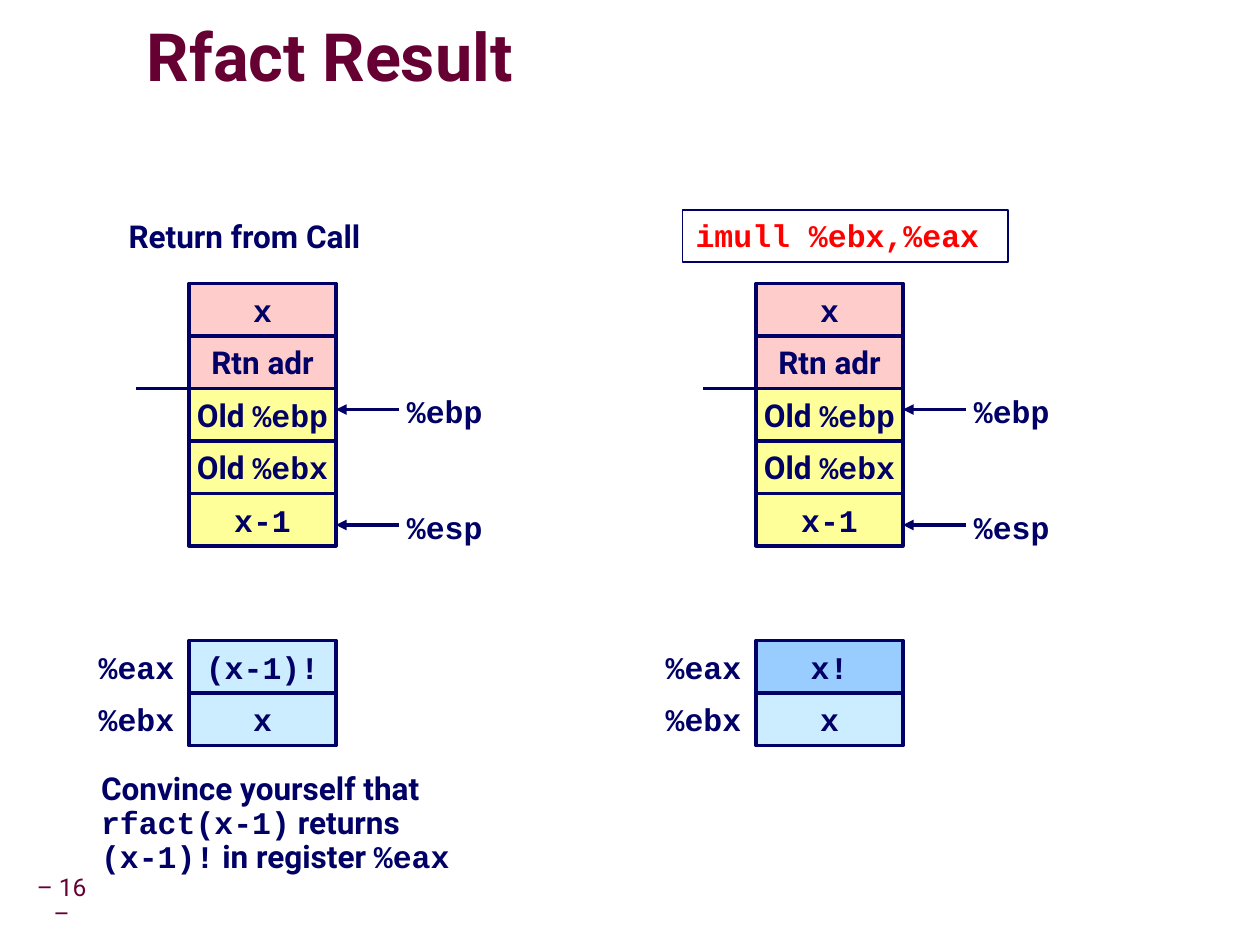
from lxml import etree
from pptx import Presentation
from pptx.dml.color import RGBColor
from pptx.enum.shapes import MSO_CONNECTOR, MSO_SHAPE
from pptx.enum.text import MSO_ANCHOR, MSO_AUTO_SIZE, PP_ALIGN
from pptx.oxml import parse_xml
from pptx.oxml.ns import qn
from pptx.util import Emu, Pt

PX = 9525
RECT = MSO_SHAPE.RECTANGLE
STRAIGHT = MSO_CONNECTOR.STRAIGHT
LEFT, CENTER = PP_ALIGN.LEFT, PP_ALIGN.CENTER
TOP, MIDDLE = MSO_ANCHOR.TOP, MSO_ANCHOR.MIDDLE
NO_FIT = MSO_AUTO_SIZE.NONE

SANS, MONO = "Roboto", "Courier New"
NAVY, MAROON, RED, WHITE = "000066", "660033", "FF0000", "FFFFFF"
PINK, YELLOW, PALE_BLUE, BLUE = "FFCCCC", "FFFF99", "CCECFF", "99CCFF"

CELL_W, CELL_H = 112, 40
STACK = [
    (PINK, [("x", MONO)]),
    (PINK, [("Rtn adr", SANS)]),
    (YELLOW, [("Old ", SANS), ("%ebp", MONO)]),
    (YELLOW, [("Old ", SANS), ("%ebx", MONO)]),
    (YELLOW, [("x-1", MONO)]),
]
POINTERS = [("%ebp", 96), ("%esp", 184)]
TITLE_SHADOW = (
    '<a:effectLst xmlns:a="http://schemas.openxmlformats.org/drawingml/2006/main">'
    '<a:outerShdw blurRad="38100" dist="38100" dir="2700000" algn="tl">'
    '<a:srgbClr val="000000"><a:alpha val="43000"/></a:srgbClr>'
    "</a:outerShdw></a:effectLst>"
)


def rgb(value):
    return RGBColor.from_string(value)


def px(*lengths):
    return [Emu(length * PX) for length in lengths]


def write(shape, runs, size=18, color=NAVY, bold=True, align=LEFT, anchor=TOP,
          wrap=False, inset=(10, 5), spacing=None):
    frame = shape.text_frame
    frame.auto_size = NO_FIT
    frame.word_wrap = wrap
    frame.vertical_anchor = anchor
    frame.margin_left = frame.margin_right = Emu(inset[0] * PX)
    frame.margin_top = frame.margin_bottom = Emu(inset[1] * PX)
    paragraph = frame.paragraphs[0]
    paragraph.alignment = align
    if spacing:
        paragraph.line_spacing = spacing
    for words, face in runs:
        run = paragraph.add_run()
        run.text = words
        font = run.font
        font.size, font.bold, font.name = Pt(size), bold, face
        font.color.rgb = rgb(color)


def add_text(slide, box, runs, **style):
    write(slide.shapes.add_textbox(*px(*box)), runs, **style)


def add_box(slide, box, runs, fill=None, line=None, weight=2, **style):
    rect = slide.shapes.add_shape(RECT, *px(*box))
    rect.shadow.inherit = False
    if fill:
        rect.fill.solid()
        rect.fill.fore_color.rgb = rgb(fill)
    else:
        rect.fill.background()
    if line:
        rect.line.color.rgb = rgb(line)
        rect.line.width = Pt(weight)
    else:
        rect.line.fill.background()
    write(rect, runs, **style)


def add_line(slide, x1, x2, y, arrow=False):
    line = slide.shapes.add_connector(STRAIGHT, *px(x1, y, x2, y))
    line.line.color.rgb = rgb(NAVY)
    line.line.width = Pt(2)
    if arrow:
        etree.SubElement(line.line._get_or_add_ln(), qn("a:tailEnd"), type="triangle")
    etree.SubElement(line._element.spPr, qn("a:effectLst"))


def add_title(slide, box):
    title = slide.shapes.title
    title.left, title.top, title.width, title.height = px(*box)
    write(title, [("Rfact Result", SANS)], size=38, color=MAROON, anchor=MIDDLE,
          wrap=True, inset=(0, 0), spacing=0.87)
    properties = title.text_frame.paragraphs[0].runs[0].font._element
    properties.find(qn("a:solidFill")).addnext(parse_xml(TITLE_SHADOW))


def add_stack(slide, left, top):
    for row, (fill, runs) in enumerate(STACK):
        add_box(slide, (left, top + row * CELL_H, CELL_W, CELL_H), runs,
                fill=fill, line=NAVY, align=CENTER, anchor=MIDDLE)
    add_line(slide, left - 40, left, top + 2 * CELL_H)
    right = left + CELL_W
    for register, y in POINTERS:
        add_line(slide, right + 48, right, top + y, arrow=True)
        add_text(slide, (right + 44, top + y - 18, 77, 38), [(register, MONO)])


def add_registers(slide, left, top, rows):
    for row, (register, value, fill) in enumerate(rows):
        y = top + row * CELL_H
        add_box(slide, (left - 72, y, 64, CELL_H), [(register, MONO)],
                fill=WHITE, align=CENTER, anchor=MIDDLE)
        add_box(slide, (left, y, CELL_W, CELL_H), [(value, MONO)],
                fill=fill, line=NAVY, align=CENTER, anchor=MIDDLE)


def add_state(slide, left, eax, eax_fill):
    add_stack(slide, left, 216)
    add_registers(slide, left, 488,
                  [("%eax", eax, eax_fill), ("%ebx", "x", PALE_BLUE)])


def main():
    deck = Presentation()
    deck.slide_width, deck.slide_height = px(960, 720)
    slide = deck.slides.add_slide(deck.slide_layouts[5])

    add_title(slide, (112, 16, 541, 60))
    add_state(slide, 144, "(x-1)!", PALE_BLUE)
    add_state(slide, 576, "x!", BLUE)
    add_text(slide, (88, 160, 224, 38), [("Return from Call", SANS)], wrap=True)
    add_box(slide, (520, 160, 248, 40), [("imull %ebx,%eax", MONO)],
            line=NAVY, weight=1, color=RED, wrap=True)
    add_text(slide, (72, 584, 320, 88),
             [("Convince yourself that ", SANS), ("rfact(x-1)", MONO),
              (" returns ", SANS), ("(x-1)!", MONO),
              (" in register ", SANS), ("%eax", MONO)],
             wrap=True, inset=(5, 5), spacing=0.9)
    add_text(slide, (23, 672, 48, 30), [("– 16 –", SANS)], size=14, color=MAROON,
             bold=False, align=CENTER, anchor=MIDDLE, wrap=True, inset=(5, 5),
             spacing=0.9)

    deck.save("out.pptx")


if __name__ == "__main__":
    main()
